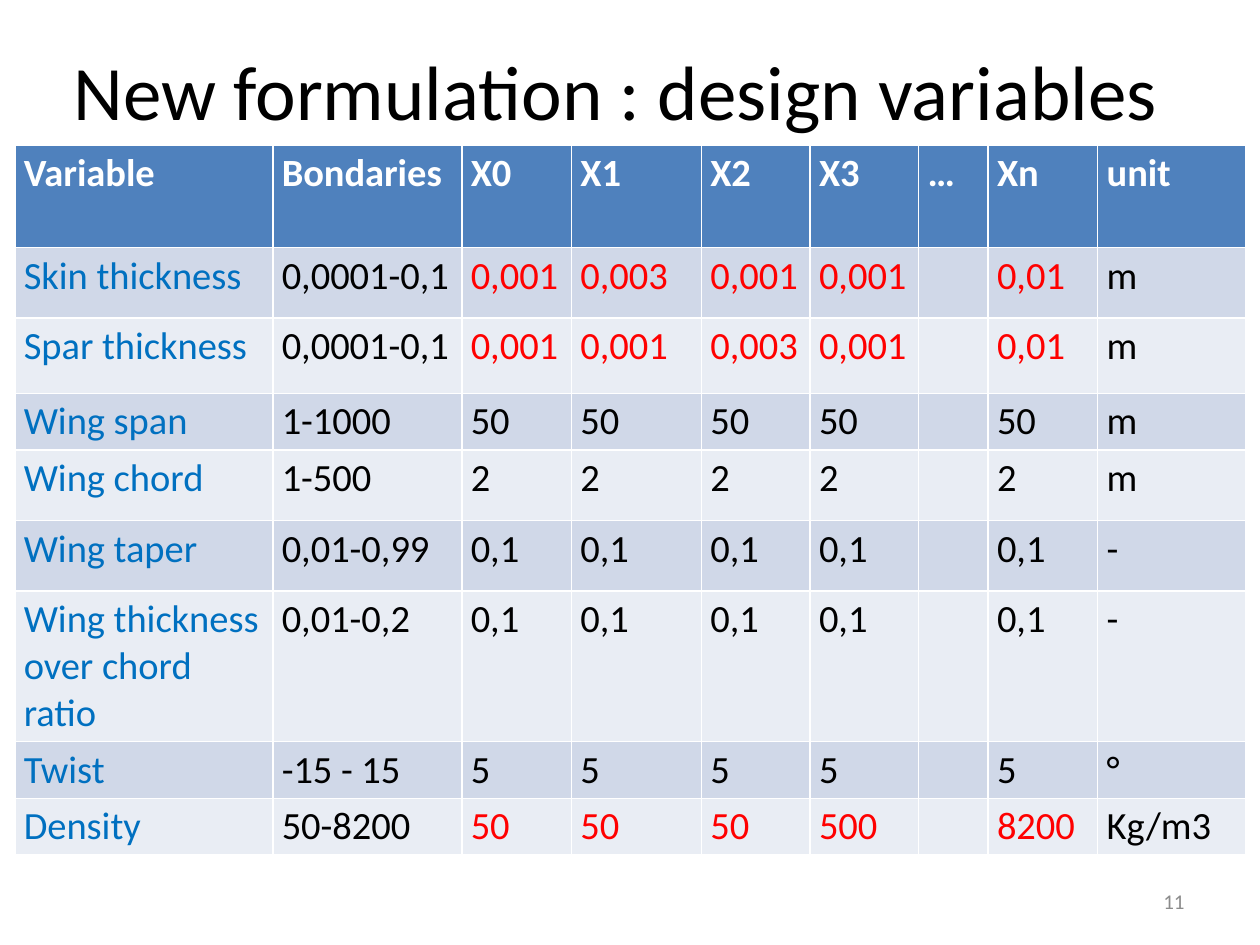
from pptx import Presentation
from pptx.dml.color import RGBColor
from pptx.enum.text import MSO_ANCHOR as ANCHOR, PP_ALIGN as ALIGN
from pptx.util import Cm, Pt

WHITE = RGBColor(0xFF, 0xFF, 0xFF)
BLACK = RGBColor(0x00, 0x00, 0x00)
RED = RGBColor(0xFF, 0x00, 0x00)
BLUE = RGBColor(0x00, 0x70, 0xC0)
GREY = RGBColor(0x8C, 0x8C, 0x8C)
HEADER = RGBColor(0x4F, 0x81, 0xBD)
BANDS = (RGBColor(0xE9, 0xED, 0xF4), RGBColor(0xD0, 0xD8, 0xE8))

COL_WIDTHS = (5.2, 3.81, 2.21, 2.62, 2.19, 2.19, 1.4, 2.21, 2.99)
ROW_HEIGHTS = (2.06, 1.42, 1.52, 1.13, 1.42, 1.42, 3.02, 1.13, 1.13)
CELL_MARGINS = {"margin_left": Cm(0.18), "margin_right": Cm(0.18),
                "margin_top": Cm(0.1), "margin_bottom": Cm(0.1)}
ROWS = (
    ("Variable", "Bondaries", "X0", "X1", "X2", "X3", "…", "Xn", "unit"),
    ("Skin thickness", "0,0001-0,1", "0,001", "0,003", "0,001", "0,001", "", "0,01", "m"),
    ("Spar thickness", "0,0001-0,1", "0,001", "0,001", "0,003", "0,001", "", "0,01", "m"),
    ("Wing span", "1-1000", "50", "50", "50", "50", "", "50", "m"),
    ("Wing chord", "1-500", "2", "2", "2", "2", "", "2", "m"),
    ("Wing taper", "0,01-0,99", "0,1", "0,1", "0,1", "0,1", "", "0,1", "-"),
    ("Wing thickness over chord ratio", "0,01-0,2", "0,1", "0,1", "0,1", "0,1", "", "0,1", "-"),
    ("Twist", "-15 - 15", "5", "5", "5", "5", "", "5", "°"),
    ("Density", "50-8200", "50", "50", "50", "500", "", "8200", "Kg/m3"),
)
VARIED = ("Skin thickness", "Spar thickness", "Density")
VALUE_COLS = range(2, 8)


def set_attrs(obj, values):
    """Set each attribute named in values on obj."""
    for name, value in values.items():
        setattr(obj, name, value)


def write(tf, text, size, color, bold=False, align=ALIGN.LEFT):
    """Write one formatted paragraph into a text frame."""
    p = tf.paragraphs[0]
    p.alignment = align
    r = p.add_run()
    r.text = text
    set_attrs(r.font, {"name": "Calibri", "size": Pt(size), "bold": bold})
    r.font.color.rgb = color


def text_color(row, col):
    """Return the font colour of a table cell."""
    if row == 0:
        return WHITE
    if col == 0:
        return BLUE
    return RED if ROWS[row][0] in VARIED and col in VALUE_COLS else BLACK


def add_variables(s):
    """Add the table of design variables."""
    table = s.shapes.add_table(len(ROWS), len(COL_WIDTHS), Cm(0.3), Cm(2.93),
                               Cm(sum(COL_WIDTHS)), Cm(sum(ROW_HEIGHTS))).table
    for column, width in zip(table.columns, COL_WIDTHS):
        column.width = Cm(width)
    for i, (height, texts) in enumerate(zip(ROW_HEIGHTS, ROWS)):
        table.rows[i].height = Cm(height)
        for j, text in enumerate(texts):
            cell = table.cell(i, j)
            set_attrs(cell, CELL_MARGINS)
            cell.fill.solid()
            cell.fill.fore_color.rgb = BANDS[i % 2] if i else HEADER
            if text:
                write(cell.text_frame, text, 22, text_color(i, j), bold=i == 0)


def add_title(s, text):
    """Place the title in front of the table."""
    title = s.shapes.title
    set_attrs(title, {"left": Cm(0.71), "top": Cm(0.76),
                      "width": Cm(23.42), "height": Cm(3.18)})
    set_attrs(title.text_frame, {"vertical_anchor": ANCHOR.TOP, "word_wrap": True})
    write(title.text_frame, text, 44, BLACK, align=ALIGN.CENTER)
    title.element.getparent().append(title.element)


def add_page_number(s, number):
    """Add the page number at the lower right."""
    sp = s.shapes.add_textbox(Cm(18.21), Cm(17.65), Cm(5.92), Cm(1.02))
    set_attrs(sp.text_frame, {"vertical_anchor": ANCHOR.MIDDLE, "word_wrap": True})
    write(sp.text_frame, number, 12, GREY, align=ALIGN.RIGHT)


def main():
    """Build and save the slide."""
    prs = Presentation()
    set_attrs(prs, {"slide_width": Cm(25.4), "slide_height": Cm(19.05)})
    s = prs.slides.add_slide(prs.slide_layouts[5])
    add_variables(s)
    add_title(s, "New formulation : design variables")
    add_page_number(s, "11")
    prs.save("out.pptx")


if __name__ == "__main__":
    main()
